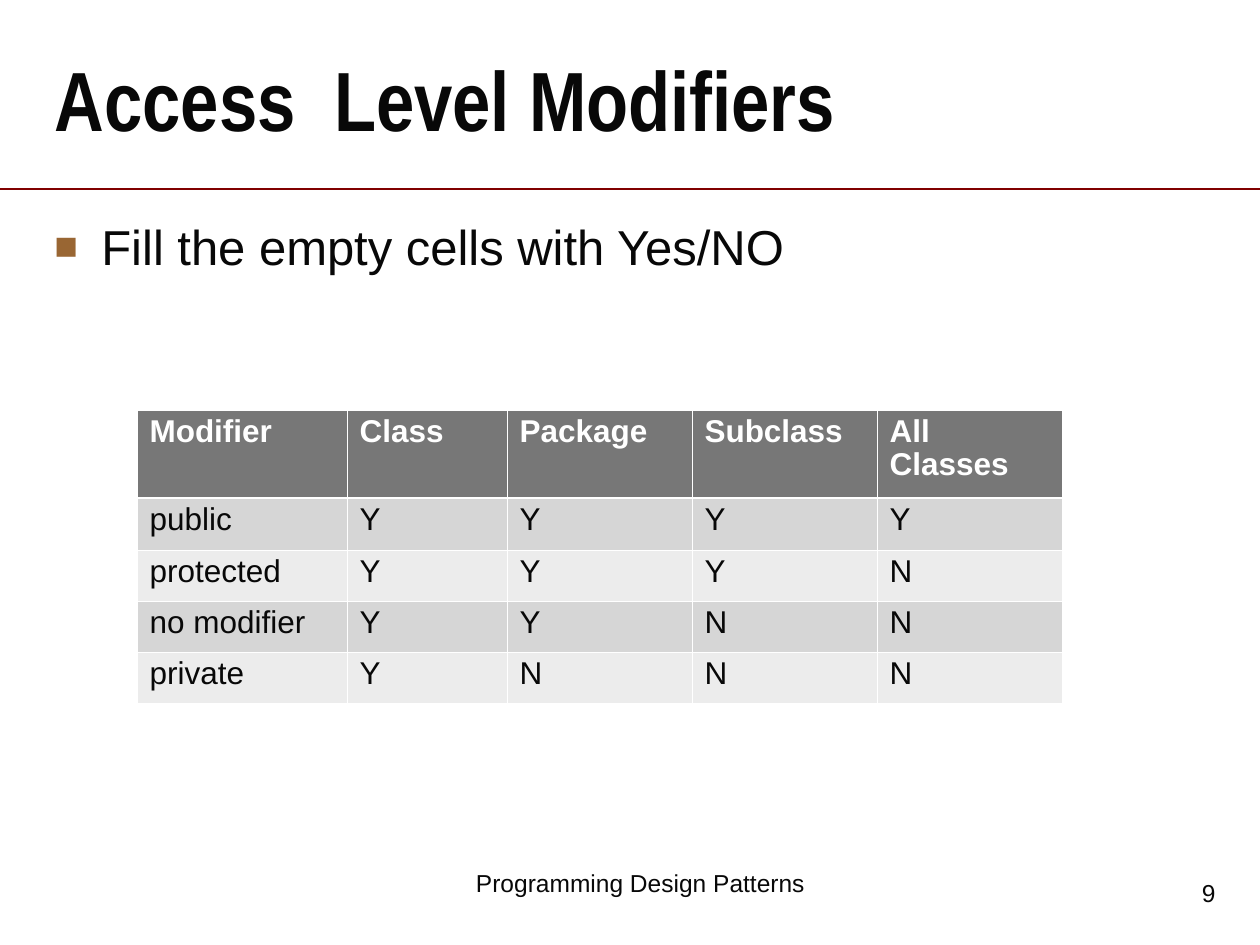
from lxml import etree
from pptx import Presentation
from pptx.dml.color import RGBColor
from pptx.enum.shapes import MSO_CONNECTOR
from pptx.enum.text import MSO_ANCHOR as Anchor, MSO_AUTO_SIZE as AutoSize, PP_ALIGN as Align
from pptx.oxml.ns import qn
from pptx.util import Emu, Pt

COLORS = {
    "ink": "080808", "white": "FFFFFF", "rule": "800000", "bullet": "996633",
    "header": "777777", "dark_row": "D6D6D6", "light_row": "ECECEC",
}


def px(value):
    return Emu(round(value * 914400 / 126))


def write(frame, text, size, color="ink", font="Arial", bold=False, **para_format):
    """Put one formatted paragraph into a text frame and return it."""
    para = frame.paragraphs[0]
    for name, value in para_format.items():
        setattr(para, name, value)
    span = para.add_run()
    span.text = text
    for name, value in {"name": font, "size": Pt(size), "bold": bold}.items():
        setattr(span.font, name, value)
    span.font.color.rgb = RGBColor.from_string(COLORS[color])
    return para


deck = Presentation()
deck.slide_width, deck.slide_height = px(1260), px(945)
page = deck.slides.add_slide(deck.slide_layouts[5])

# Rule under the title
rule = page.shapes.add_connector(MSO_CONNECTOR.STRAIGHT, 0, px(189), px(1260), px(189))
rule.line.color.rgb = RGBColor.from_string(COLORS["rule"])
rule.line.width = Pt(0.75)
etree.SubElement(rule._element.spPr, qn("a:effectLst"))

# Title
title = page.shapes.title
title.left, title.top, title.width, title.height = px(42), px(32), px(1218), px(157)
title.text_frame.auto_size = AutoSize.NONE
title.text_frame.vertical_anchor = Anchor.MIDDLE
write(title.text_frame, "Access  Level Modifiers", 48, font="Arial Narrow", bold=True,
      alignment=Align.LEFT, line_spacing=0.7)

# Bullet text, footer and page number
texts = [
    ("Fill the empty cells with Yes/NO", (42, 210, 1218, 620), 28, Anchor.TOP,
     {"alignment": Align.LEFT, "space_before": Pt(7)}),
    ("Programming Design Patterns", (378, 851, 525, 63), 14, Anchor.MIDDLE,
     {"alignment": Align.CENTER}),
    ("9", (966, 861, 262, 63), 14, Anchor.MIDDLE, {"alignment": Align.RIGHT}),
]
paras = []
for text, place, size, anchor, para_format in texts:
    box = page.shapes.add_textbox(*map(px, place))
    box.text_frame.word_wrap = True
    box.text_frame.vertical_anchor = anchor
    paras.append(write(box.text_frame, text, size, **para_format))

bullet = paras[0]._p.get_or_add_pPr()
bullet.set("marL", str(px(47)))
bullet.set("indent", str(-px(47)))
bullet_color = etree.SubElement(bullet, qn("a:buClr"))
etree.SubElement(bullet_color, qn("a:srgbClr"), val=COLORS["bullet"])
etree.SubElement(bullet, qn("a:buSzPct"), val="80000")
etree.SubElement(bullet, qn("a:buFont"), typeface="Arial")
etree.SubElement(bullet, qn("a:buChar"), char="■")

# Access table
rows = [
    ("Modifier", "Class", "Package", "Subclass", "All Classes"),
    ("public", "Y", "Y", "Y", "Y"),
    ("protected", "Y", "Y", "Y", "N"),
    ("no modifier", "Y", "Y", "N", "N"),
    ("private", "Y", "N", "N", "N"),
]
widths = [210, 160, 185, 185, 185]
heights = [88, 52, 51, 51, 51]
table = page.shapes.add_table(len(rows), len(widths), px(137), px(410),
                              px(sum(widths)), px(sum(heights))).table
table.horz_banding = False
for column, width in zip(table.columns, widths):
    column.width = px(width)
for r, (words, height) in enumerate(zip(rows, heights)):
    table.rows[r].height = px(height)
    is_header = r == 0
    fill = "header" if is_header else "dark_row" if r % 2 else "light_row"
    for c, word in enumerate(words):
        cell = table.cell(r, c)
        cell.fill.solid()
        cell.fill.fore_color.rgb = RGBColor.from_string(COLORS[fill])
        write(cell.text_frame, word, 18, "white" if is_header else "ink",
              bold=is_header, line_spacing=0.94)
        cell_format = cell._tc.get_or_add_tcPr()
        for i, side in enumerate(("lnL", "lnR", "lnT", "lnB")):
            heavy = (r, side) in ((0, "lnB"), (1, "lnT"))
            border = etree.Element(qn(f"a:{side}"), w=str(Pt(0.75 if heavy else 0.23)))
            border_fill = etree.SubElement(border, qn("a:solidFill"))
            etree.SubElement(border_fill, qn("a:srgbClr"), val=COLORS["white"])
            cell_format.insert(i, border)

deck.save("out.pptx")
